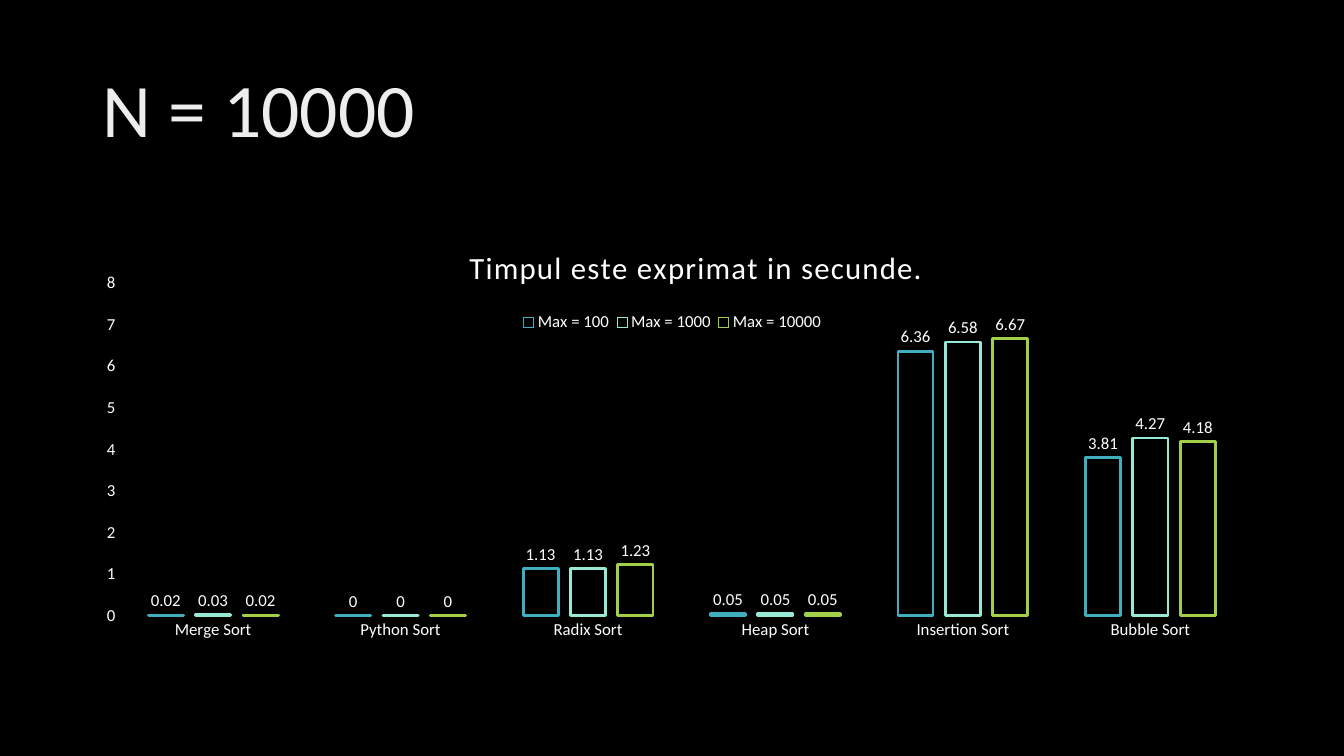
from dataclasses import dataclass
from typing import Optional

from lxml import etree
from pptx import Presentation
from pptx.chart.chart import Chart
from pptx.chart.data import CategoryChartData
from pptx.dml.color import RGBColor
from pptx.enum.chart import XL_CHART_TYPE, XL_LABEL_POSITION, XL_LEGEND_POSITION, XL_TICK_MARK
from pptx.enum.text import MSO_ANCHOR
from pptx.oxml.ns import qn
from pptx.slide import Slide
from pptx.text.text import Font, TextFrame
from pptx.util import Inches, Pt


@dataclass(frozen=True)
class Theme:
    font: str = "Calibri"
    background: str = "000000"
    heading: str = "EDEDED"
    text: str = "FFFFFF"
    heading_size: float = 54
    chart_title_size: float = 22
    label_size: float = 12
    bar_line: float = 2


@dataclass(frozen=True)
class TimingSeries:
    name: str
    seconds: tuple[float, ...]
    color: str


@dataclass(frozen=True)
class Layout:
    """Place inside the chart, as fractions of its width and height."""

    x: float
    y: float
    width: Optional[float] = None
    height: Optional[float] = None


THEME = Theme()
ALGORITHMS = ("Merge Sort", "Python Sort", "Radix Sort", "Heap Sort", "Insertion Sort", "Bubble Sort")
TIMINGS = (
    TimingSeries("Max = 100", (0.02, 0, 1.13, 0.05, 6.36, 3.81), "41AEBD"),
    TimingSeries("Max = 1000", (0.03, 0, 1.13, 0.05, 6.58, 4.27), "97E9D5"),
    TimingSeries("Max = 10000", (0.02, 0, 1.23, 0.05, 6.67, 4.18), "A2CF49"),
)
PLOT_LAYOUT = Layout(0.023, 0.098, 0.97, 0.694)
TITLE_LAYOUT = Layout(0.32, 0.01)
LEGEND_LAYOUT = Layout(0.365, 0.15, 0.27, 0.06)


def style_font(font: Font, size: float = THEME.label_size, color: str = THEME.text) -> None:
    font.name = THEME.font
    font.size = Pt(size)
    font.bold = False
    font.color.rgb = RGBColor.from_string(color)


def write_text(frame: TextFrame, text: str, *, size: float, color: str = THEME.text,
               line_spacing: Optional[float] = None, tracking: float = 0) -> None:
    """Fill the frame with one formatted line; tracking is in points."""
    paragraph = frame.paragraphs[0]
    if line_spacing:
        paragraph.line_spacing = line_spacing
    run = paragraph.add_run()
    run.text = text
    style_font(run.font, size, color)
    if tracking:
        run.font._element.set("spc", str(round(tracking * 100)))


def set_layout(element: etree._Element, layout: Layout, index: int) -> None:
    """Give a chart part a manual layout, as its child at the given index."""
    for old_layout in element.findall(qn("c:layout")):
        element.remove(old_layout)
    layout_element = etree.Element(qn("c:layout"))
    manual = etree.SubElement(layout_element, qn("c:manualLayout"))
    settings = {"xMode": "edge", "yMode": "edge", "x": layout.x, "y": layout.y,
                "w": layout.width, "h": layout.height}
    if index == 0:
        settings = {"layoutTarget": "inner", **settings}
    for tag, value in settings.items():
        if value is not None:
            etree.SubElement(manual, qn(f"c:{tag}")).set("val", str(value))
    element.insert(index, layout_element)


def add_heading(slide: Slide) -> None:
    box = slide.shapes.add_textbox(Inches(0.92), Inches(0.4), Inches(11.5), Inches(1.45))
    box.text_frame.word_wrap = True
    box.text_frame.vertical_anchor = MSO_ANCHOR.MIDDLE
    write_text(box.text_frame, "N = 10000", size=THEME.heading_size, color=THEME.heading, line_spacing=0.9)


def style_axes(chart: Chart) -> None:
    for axis in (chart.category_axis, chart.value_axis):
        axis.has_major_gridlines = False
        axis.major_tick_mark = axis.minor_tick_mark = XL_TICK_MARK.NONE
        axis.format.line.fill.background()
        style_font(axis.tick_labels.font)
    chart.value_axis.minimum_scale = 0
    chart.value_axis.maximum_scale = 8
    chart.value_axis.major_unit = 1


def style_bars(chart: Chart) -> None:
    plot = chart.plots[0]
    plot.gap_width = 164
    plot.overlap = -35
    plot.vary_by_categories = False
    for series, timing in zip(plot.series, TIMINGS):
        series.format.fill.background()
        series.format.line.color.rgb = RGBColor.from_string(timing.color)
        series.format.line.width = Pt(THEME.bar_line)
        labels = series.data_labels
        labels.show_value = True
        labels.position = XL_LABEL_POSITION.OUTSIDE_END
        style_font(labels.font)


def add_timing_chart(slide: Slide) -> None:
    data = CategoryChartData()
    data.categories = ALGORITHMS
    for timing in TIMINGS:
        data.add_series(timing.name, timing.seconds)
    chart = slide.shapes.add_chart(XL_CHART_TYPE.COLUMN_CLUSTERED, Inches(0.92), Inches(2.34),
                                   Inches(11.5), Inches(4.76), data).chart
    style_font(chart.font, size=10)
    style_axes(chart)
    style_bars(chart)

    chart.has_title = True
    chart.chart_title.include_in_layout = False
    write_text(chart.chart_title.text_frame, "Timpul este exprimat in secunde.",
               size=THEME.chart_title_size, tracking=1)
    chart.has_legend = True
    chart.legend.position = XL_LEGEND_POSITION.TOP
    chart.legend.include_in_layout = False
    style_font(chart.legend.font)

    set_layout(chart._chartSpace.chart.plotArea, PLOT_LAYOUT, 0)
    set_layout(chart.chart_title._element, TITLE_LAYOUT, 1)
    set_layout(chart.legend._element, LEGEND_LAYOUT, 1)


def main() -> None:
    presentation = Presentation()
    presentation.slide_width = Inches(13.33)
    presentation.slide_height = Inches(7.5)
    slide = presentation.slides.add_slide(presentation.slide_layouts[6])
    slide.background.fill.solid()
    slide.background.fill.fore_color.rgb = RGBColor.from_string(THEME.background)
    add_heading(slide)
    add_timing_chart(slide)
    presentation.save("out.pptx")


if __name__ == "__main__":
    main()
